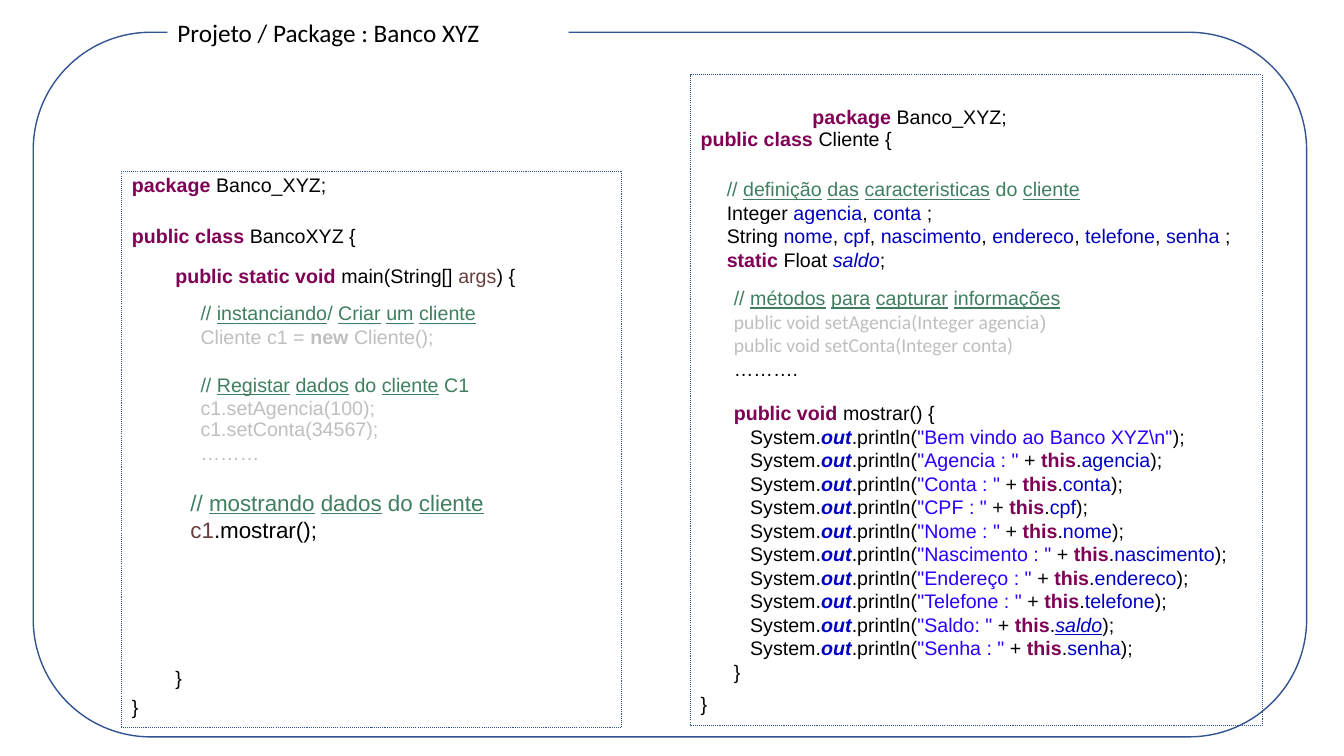
from dataclasses import dataclass

import pptx
import pptx.dml.color
import pptx.enum.dml
import pptx.enum.shapes
import pptx.enum.text
import pptx.util

Inches = pptx.util.Inches
Pt = pptx.util.Pt


@dataclass(frozen=True)
class Theme:
    outline: str = "325491"
    paper: str = "FFFFFF"
    text: str = "000000"
    keyword: str = "7F0055"
    argument: str = "6A3E3E"
    comment: str = "3F7F5F"
    field: str = "0000C0"
    string: str = "2A00FF"
    faded: str = "BFBFBF"
    code_font: str = "Arial"
    title_font: str = "Calibri"
    title_size: int = 18
    code_size: int = 14
    large_code_size: int = 16
    leading: float = 1.2


THEME = Theme()

# Each code style is a colour and the font attributes that go with it.
STYLES = {
    "plain": (THEME.text, {}),
    "keyword": (THEME.keyword, {"bold": True}),
    "argument": (THEME.argument, {}),
    "comment": (THEME.comment, {}),
    "comment_word": (THEME.comment, {"underline": True}),
    "field": (THEME.field, {}),
    "static_field": (THEME.field, {"italic": True}),
    "linked_field": (THEME.field, {"italic": True, "underline": True}),
    "static_object": (THEME.field, {"bold": True, "italic": True}),
    "string": (THEME.string, {}),
    "faded": (THEME.faded, {}),
    "faded_keyword": (THEME.faded, {"bold": True}),
    "faded_signature": (THEME.faded, {"name": THEME.title_font}),
}

PACKAGE = [("keyword", "package "), ("plain", "Banco_XYZ;")]
CLOSING = [("plain", "}")]


def rgb(colour):
    return pptx.dml.color.RGBColor.from_string(colour)


def comment(marked):
    """Return a comment line whose words between underscores are underlined."""
    parts = ("// " + marked).split("_")
    return [("comment_word" if i % 2 else "comment", part)
            for i, part in enumerate(parts) if part]


def declaration(kind, names):
    line = [("plain", kind + " ")]
    for i, name in enumerate(names):
        line += [("plain", ", ")] if i else []
        line.append(("field", name))
    return line + [("plain", " ;")]


def println(literal, field=None, style="field"):
    line = [("plain", "   System."), ("static_object", "out"),
            ("plain", ".println("), ("string", f'"{literal}"')]
    if field:
        line += [("plain", " + "), ("keyword", "this"), ("plain", "."), (style, field)]
    return line + [("plain", ");")]


def write_code(frame, lines, size=THEME.code_size, closing_gap=0):
    """Fill a text frame with styled lines; closing_gap, in points, precedes the last."""
    frame.word_wrap = True
    frame.vertical_anchor = pptx.enum.text.MSO_ANCHOR.TOP
    for i, line in enumerate(lines):
        paragraph = frame.add_paragraph() if i else frame.paragraphs[0]
        paragraph.alignment = pptx.enum.text.PP_ALIGN.LEFT
        paragraph.line_spacing = Pt(size * THEME.leading)
        if closing_gap and i == len(lines) - 1:
            paragraph.space_before = Pt(closing_gap)
        paragraph.font.name = THEME.code_font
        paragraph.font.size = Pt(size)
        for style, text in line:
            run = paragraph.add_run()
            run.text = text
            colour, attributes = STYLES[style]
            run.font.color.rgb = rgb(colour)
            for attribute, value in attributes.items():
                setattr(run.font, attribute, value)


def add_code(slide, left, top, width, height, lines, **options):
    box = slide.shapes.add_textbox(Inches(left), Inches(top), Inches(width), Inches(height))
    write_code(box.text_frame, lines, **options)


def add_outline(slide, kind, left, top, width, height, weight):
    outline = slide.shapes.add_shape(
        kind, Inches(left), Inches(top), Inches(width), Inches(height))
    outline.shadow.inherit = False
    outline.fill.background()
    outline.line.color.rgb = rgb(THEME.outline)
    outline.line.width = Pt(weight)
    return outline


def add_class_panel(slide, left, top, width, height, name, closing_gap):
    panel = add_outline(slide, pptx.enum.shapes.MSO_SHAPE.RECTANGLE,
                        left, top, width, height, 0.75)
    panel.line.dash_style = pptx.enum.dml.MSO_LINE.ROUND_DOT
    panel.text_frame.margin_top = Inches(0.52)
    header = [("keyword", "public class "), ("plain", name + " {")]
    write_code(panel.text_frame, [header, CLOSING], closing_gap=closing_gap)


def add_project_frame(slide, label):
    """Draw the rounded project border with the title sitting over its top edge."""
    border = add_outline(slide, pptx.enum.shapes.MSO_SHAPE.ROUNDED_RECTANGLE,
                         0.33, 0.32, 12.63, 6.99, 1)
    title = slide.shapes.title
    border.element.addnext(title.element)
    title.left, title.top = Inches(1.66), Inches(0.12)
    title.width, title.height = Inches(3.98), Inches(0.4)
    title.fill.solid()
    title.fill.fore_color.rgb = rgb(THEME.paper)
    frame = title.text_frame
    frame.text = label
    frame.auto_size = pptx.enum.text.MSO_AUTO_SIZE.NONE
    frame.vertical_anchor = pptx.enum.text.MSO_ANCHOR.MIDDLE
    paragraph = frame.paragraphs[0]
    paragraph.alignment = pptx.enum.text.PP_ALIGN.LEFT
    paragraph.font.name = THEME.title_font
    paragraph.font.size = Pt(THEME.title_size)
    paragraph.font.color.rgb = rgb(THEME.text)


def add_main_class(slide):
    add_class_panel(slide, 1.21, 1.7, 4.95, 5.52, "BancoXYZ", 320)
    add_code(slide, 1.21, 1.67, 2.89, 0.34, [PACKAGE])
    signature = [("keyword", "public static void"), ("plain", " main(String[] "),
                 ("argument", "args"), ("plain", ") {")]
    add_code(slide, 1.64, 2.57, 3.62, 4.34, [signature, CLOSING], closing_gap=270)
    add_code(slide, 1.89, 2.94, 3.15, 0.57, [
        comment("_instanciando_/ _Criar_ _um_ _cliente_"),
        [("faded", "Cliente c1 = "), ("faded_keyword", "new "), ("faded", "Cliente();")]])
    add_code(slide, 1.89, 3.65, 2.99, 0.57, [
        comment("_Registar_ _dados_ do _cliente_ C1"),
        [("faded", "c1.setAgencia(100);")]])
    add_code(slide, 1.89, 4.09, 3.69, 0.57, [
        [("faded", "c1.setConta(34567);")], [("faded", "………")]])
    add_code(slide, 1.79, 4.8, 3.62, 0.64, [
        comment("_mostrando_ _dados_ do _cliente_"),
        [("argument", "c1"), ("plain", ".mostrar();")]], size=THEME.large_code_size)


def add_client_class(slide):
    add_class_panel(slide, 6.85, 0.74, 5.67, 6.46, "Cliente", 387)
    add_code(slide, 7.96, 0.99, 2.89, 0.34, [PACKAGE])
    add_code(slide, 7.11, 1.71, 5.41, 1.04, [
        comment("_definição_ _das_ _caracteristicas_ do _cliente_"),
        declaration("Integer", ["agencia", "conta"]),
        declaration("String", ["nome", "cpf", "nascimento", "endereco", "telefone", "senha"]),
        [("keyword", "static"), ("plain", " Float "), ("static_field", "saldo"), ("plain", ";")]])
    add_code(slide, 7.18, 2.79, 5.34, 1.04, [
        comment("_métodos_ _para_ _capturar_ _informações_"),
        [("faded_signature", "public void setAgencia(Integer agencia"), ("faded", ")")],
        [("faded_signature", "public void setConta(Integer conta)")],
        [("plain", "……….")]])
    printed = [("Agencia : ", "agencia"), ("Conta : ", "conta"), ("CPF : ", "cpf"),
               ("Nome : ", "nome"), ("Nascimento : ", "nascimento"),
               ("Endereço : ", "endereco"), ("Telefone : ", "telefone"),
               ("Saldo: ", "saldo", "linked_field"), ("Senha : ", "senha")]
    add_code(slide, 7.18, 3.93, 5.34, 3.16, [
        [("keyword", "public void "), ("plain", "mostrar() {")],
        println(r"Bem vindo ao Banco XYZ\n"),
        *(println(*entry) for entry in printed),
        CLOSING])


def main():
    deck = pptx.Presentation()
    deck.slide_width, deck.slide_height = Inches(13.33), Inches(7.5)
    slide = deck.slides.add_slide(deck.slide_layouts.get_by_name("Title Only"))
    add_project_frame(slide, "Projeto / Package : Banco XYZ")
    add_main_class(slide)
    add_client_class(slide)
    deck.save("out.pptx")


if __name__ == "__main__":
    main()
